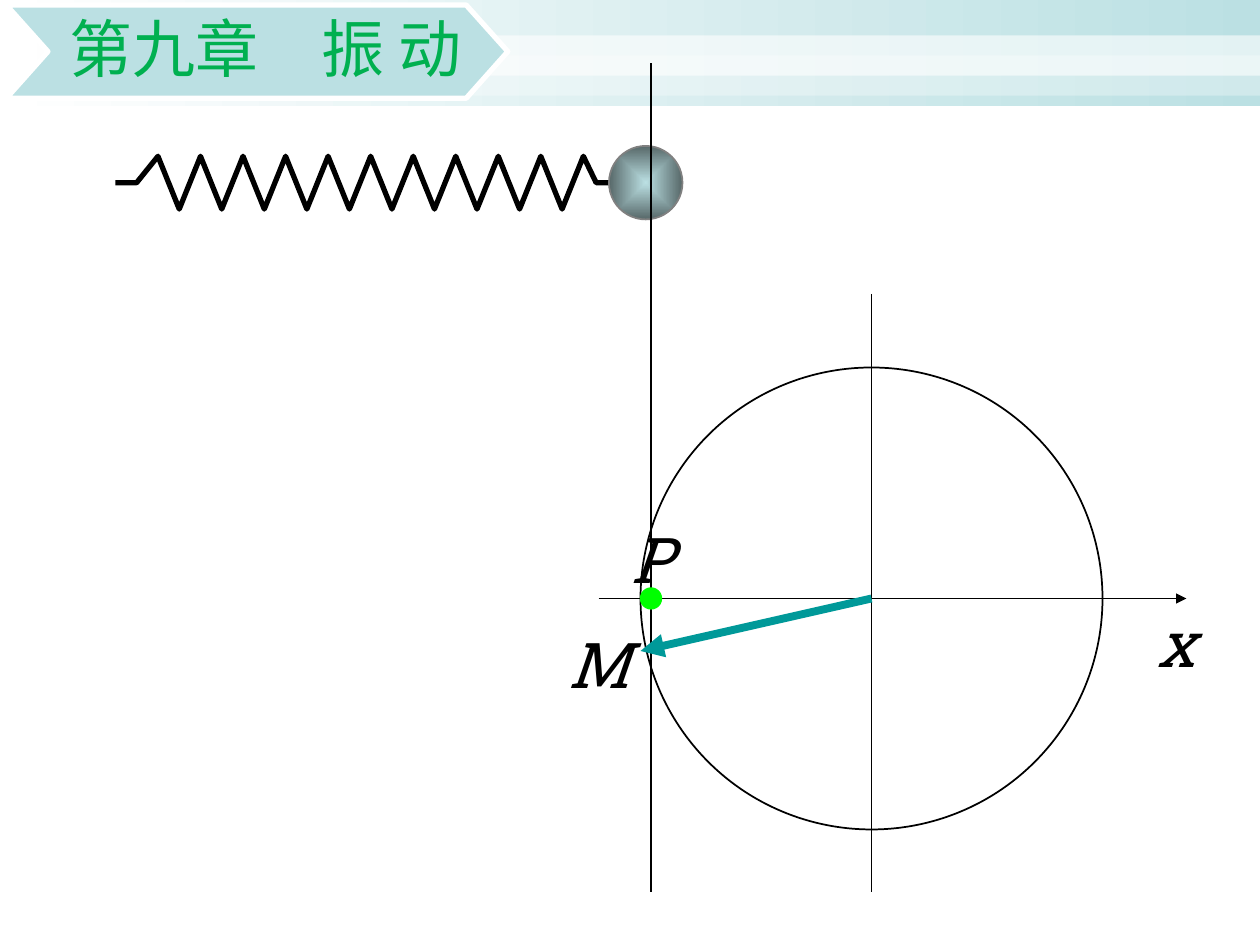
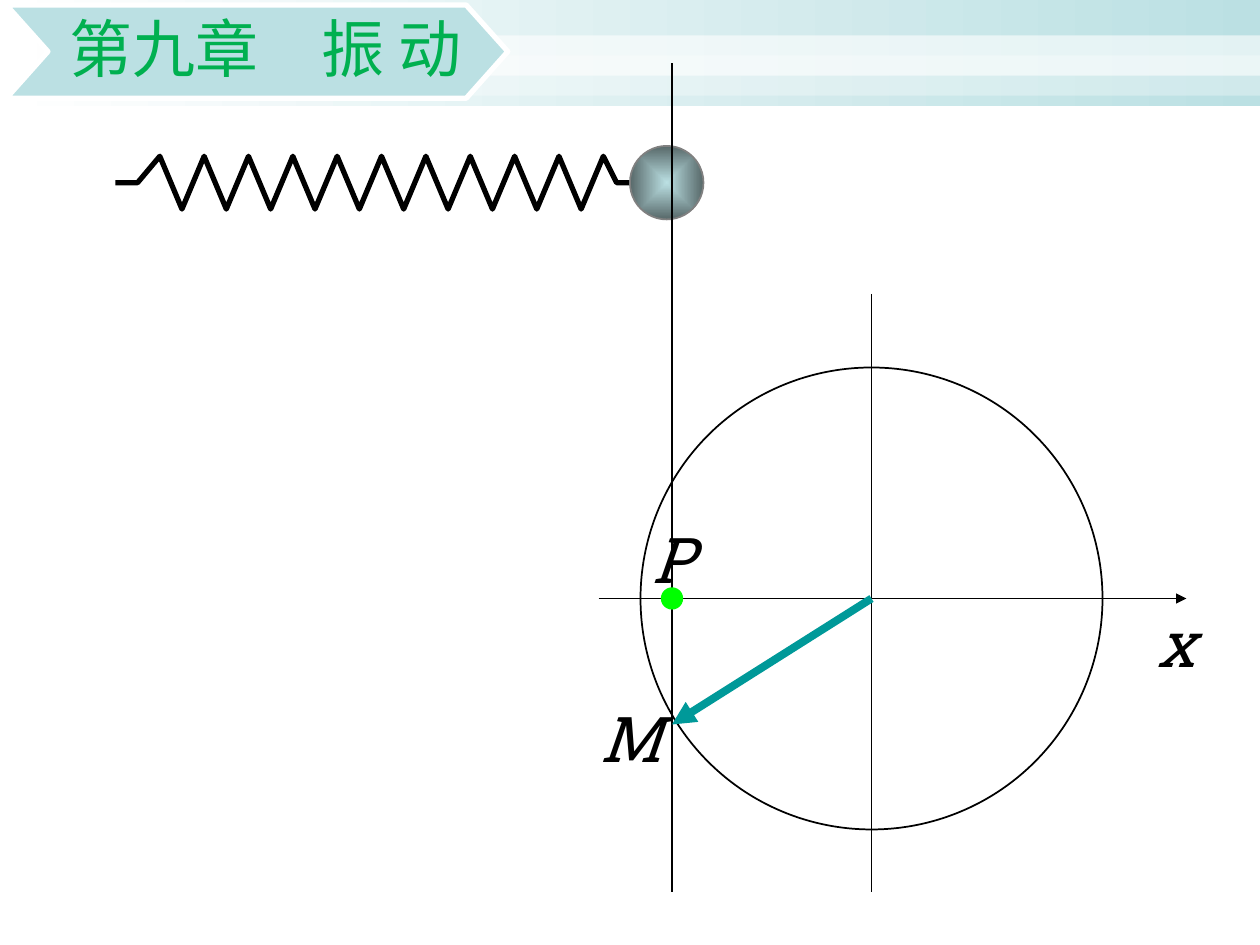
from pptx import Presentation
from pptx.dml.color import RGBColor
from pptx.enum.shapes import MSO_CONNECTOR, MSO_SHAPE
from pptx.enum.text import MSO_ANCHOR, MSO_AUTO_SIZE, PP_ALIGN
from pptx.oxml import parse_xml
from pptx.oxml.ns import nsdecls, qn
from pptx.util import Pt

RECT, OVAL = MSO_SHAPE.RECTANGLE, MSO_SHAPE.OVAL
STRAIGHT = MSO_CONNECTOR.STRAIGHT
MIDDLE, RIGHT = MSO_ANCHOR.MIDDLE, PP_ALIGN.RIGHT
GROW = MSO_AUTO_SIZE.SHAPE_TO_FIT_TEXT

COLORS = {
    "white": "FFFFFF", "black": "000000", "aqua": "BBE0E3", "steel": "576869",
    "rim": "808080", "vector": "009999", "dot": "00FF00", "title": "00B050",
}
TITLE = "第九章　振 动"
CENTER_X, CENTER_Y, RADIUS = 498, 342, 132
SPRING_LEFT, SPRING_Y, SPRING_SWING = 66, 104.4, 15.1
BALL_SIZE, DOT_SIZE = 42, 12
GUIDE_OFFSET = 24  # from the end of the spring to the projection line

# Each state: end of the spring, tip of the rotating vector
STATES = [(348, (366, 372)), (360, (384, 414))]


def rgb(name):
    return RGBColor.from_string(COLORS[name])


def a_xml(tag, attributes=""):
    return parse_xml(f"<a:{tag} {nsdecls('a')} {attributes}/>")


def style(shape, fill=None, line=None, line_width=1):
    shape.shadow.inherit = False
    if fill:
        shape.fill.solid()
        shape.fill.fore_color.rgb = rgb(fill)
    else:
        shape.fill.background()
    if line:
        shape.line.color.rgb = rgb(line)
        shape.line.width = Pt(line_width)
    else:
        shape.line.fill.background()
    return shape


def add_preset(shapes, preset, left, top, width, height, **look):
    shape = shapes.add_shape(preset, Pt(left), Pt(top), Pt(width), Pt(height))
    return style(shape, **look)


def add_circle(shapes, x, y, size, **look):
    return add_preset(shapes, OVAL, x - size / 2, y - size / 2, size, size, **look)


def add_outline(shapes, points, close, **look):
    points = [(Pt(x), Pt(y)) for x, y in points]
    builder = shapes.build_freeform(*points[0])
    builder.add_line_segments(points[1:], close=close)
    return style(builder.convert_to_shape(), **look)


def set_gradient(shape, first, last):
    shape.fill.gradient()
    shape.fill.gradient_angle = 0
    for stop, name in zip(shape.fill.gradient_stops, (first, last)):
        stop.color.rgb = rgb(name)


def make_radial(shape):
    gradient = shape._element.spPr.find(qn("a:gradFill"))
    radial = a_xml("path", 'path="rect"')
    radial.append(a_xml("fillToRect", 'l="50000" t="50000" r="50000" b="50000"'))
    gradient.replace(gradient.find(qn("a:lin")), radial)


def set_opacity(shape, percent):
    color = shape._element.spPr.find(qn("a:solidFill"))[0]
    color.append(a_xml("alpha", f'val="{percent * 1000}"'))


def add_line(shapes, start, end, color="black", width=1, arrow=False):
    line = shapes.add_connector(STRAIGHT, *(Pt(v) for v in (*start, *end)))
    line.line.color.rgb = rgb(color)
    line.line.width = Pt(width)
    if arrow:
        outline = line._element.spPr.find(qn("a:ln"))
        outline.append(a_xml("tailEnd", 'type="triangle"'))
    line._element.spPr.append(a_xml("effectLst"))


def set_font(paragraph, name, color, italic=False):
    font = paragraph.font
    font.name, font.size, font.italic = name, Pt(36), italic
    font.color.rgb = rgb(color)


def add_label(shapes, text, left, top, width):
    frame = shapes.add_textbox(Pt(left), Pt(top), Pt(width), Pt(50.4)).text_frame
    frame.word_wrap = False
    frame.auto_size = GROW
    frame.text = text
    set_font(frame.paragraphs[0], "Roboto Slab", "black", italic=True)


def add_bands(shapes):
    header = add_preset(shapes, RECT, 0, 0, 720, 60.5)
    set_gradient(header, "white", "aqua")
    for top, opacity in ((20.2, 60), (31.7, 31)):
        band = add_preset(shapes, RECT, 0, top, 720, 23, fill="white")
        set_opacity(band, opacity)


def add_title(shapes):
    left, notch, shoulder, tip = 3.6, 27.4, 266.4, 290.2
    top, middle, bottom = 2.9, 29.5, 56.2
    chevron = [(left, top), (shoulder, top), (tip, middle),
               (shoulder, bottom), (left, bottom), (notch, middle)]
    banner = add_outline(shapes, chevron, True, fill="aqua", line="white", line_width=3)
    frame = banner.text_frame
    frame.word_wrap = True
    frame.vertical_anchor = MIDDLE
    frame.margin_left, frame.margin_right = Pt(30.2), Pt(26.6)
    frame.margin_top = frame.margin_bottom = Pt(2.2)
    frame.text = TITLE
    paragraph = frame.paragraphs[0]
    paragraph.alignment = RIGHT
    paragraph.line_spacing = 0.9
    paragraph.space_after = Pt(15.8)
    set_font(paragraph, "Calibri", "title")


def add_spring(shapes, end):
    step = (end - SPRING_LEFT) / 23.2
    # Straight ends around a zigzag whose even steps are peaks
    turns = [(0, 0), (1, 0)]
    turns += [(i, 1 if i % 2 else -1) for i in range(2, 23)]
    turns += [(22.6, 0), (23.2, 0)]
    points = [(SPRING_LEFT + i * step, SPRING_Y + side * SPRING_SWING)
              for i, side in turns]
    add_outline(shapes, points, False, line="black", line_width=3)


def add_ball(shapes, spring_end, guide_x):
    group = shapes.add_group_shape().shapes
    ball = add_circle(group, spring_end + BALL_SIZE / 2, SPRING_Y, BALL_SIZE, line="rim")
    set_gradient(ball, "aqua", "steel")
    make_radial(ball)
    add_line(group, (guide_x, 36), (guide_x, 510))


def add_reference_circle(shapes):
    group = shapes.add_group_shape().shapes
    add_circle(group, CENTER_X, CENTER_Y, 2 * RADIUS, line="black")
    add_line(group, (342, CENTER_Y), (678, CENTER_Y), arrow=True)
    add_line(group, (CENTER_X, 168), (CENTER_X, 510))
    add_label(group, "x", 654.5, CENTER_Y, 33.8)


def add_vector(shapes, tip, guide_x):
    add_line(shapes, (CENTER_X, CENTER_Y), tip, "vector", 4.5, arrow=True)
    add_label(shapes, "M", tip[0] - 48, tip[1] - 18, 45.4)
    add_label(shapes, "P", guide_x - 18, CENTER_Y - 48, 36)
    add_circle(shapes, guide_x, CENTER_Y, DOT_SIZE, fill="dot", line="dot", line_width=0.75)


def main():
    deck = Presentation()
    deck.slide_width, deck.slide_height = Pt(720), Pt(540)
    for spring_end, tip in STATES:
        shapes = deck.slides.add_slide(deck.slide_layouts[6]).shapes
        guide_x = spring_end + GUIDE_OFFSET
        add_bands(shapes)
        add_spring(shapes, spring_end)
        add_ball(shapes, spring_end, guide_x)
        add_reference_circle(shapes)
        add_vector(shapes, tip, guide_x)
        add_title(shapes)
    deck.save("out.pptx")


if __name__ == "__main__":
    main()
